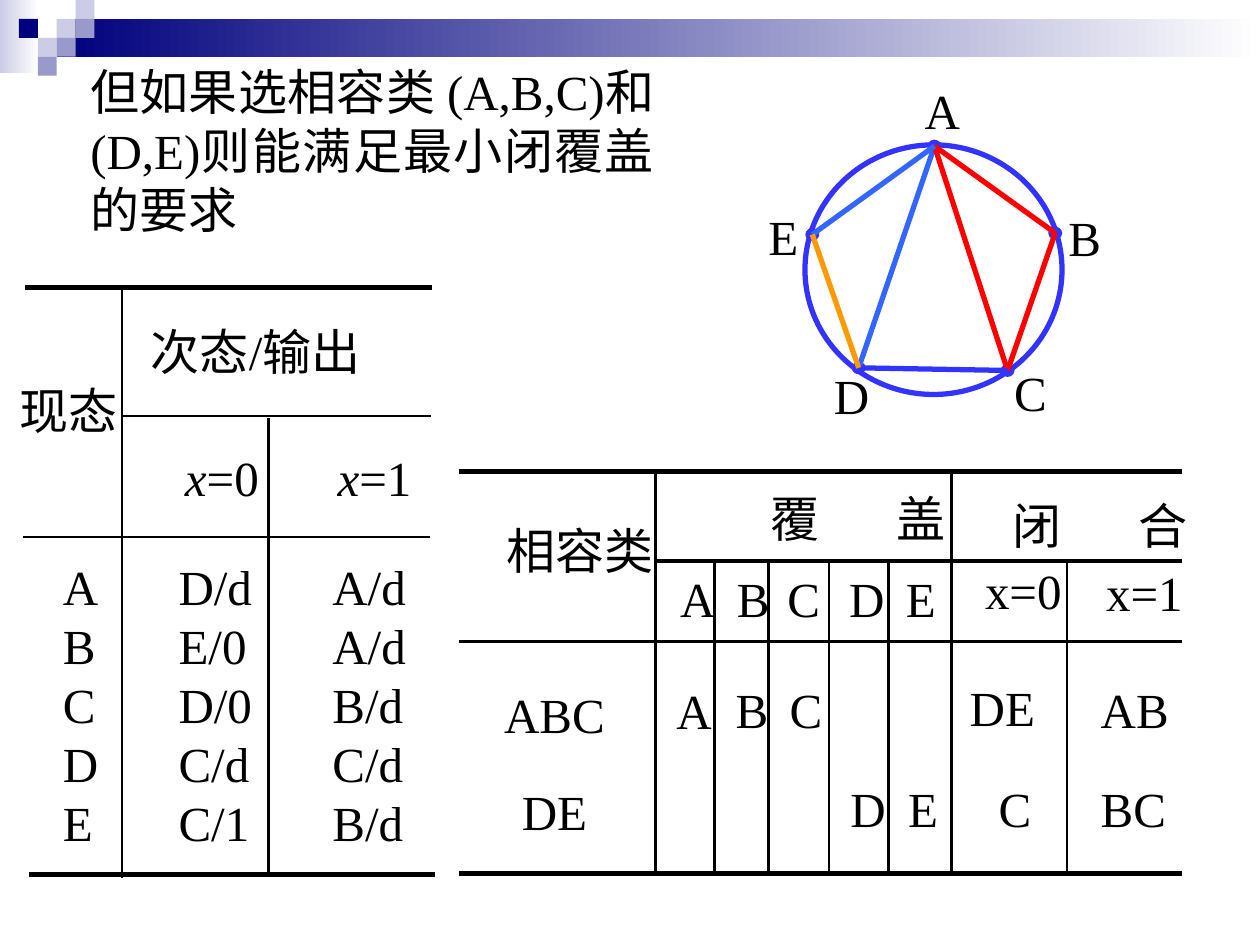
from pptx import Presentation
from pptx.dml.color import RGBColor
from pptx.enum.shapes import MSO_CONNECTOR, MSO_SHAPE
from pptx.enum.text import MSO_AUTO_SIZE, PP_ALIGN
from pptx.oxml.ns import qn
from pptx.util import Pt
from lxml import etree

RECT, OVAL = MSO_SHAPE.RECTANGLE, MSO_SHAPE.OVAL
STRAIGHT = MSO_CONNECTOR.STRAIGHT
LEFT, MID, FULL = PP_ALIGN.LEFT, PP_ALIGN.CENTER, PP_ALIGN.JUSTIFY
GROW = MSO_AUTO_SIZE.SHAPE_TO_FIT_TEXT

COLORS = {
    "ink": "000000", "white": "FFFFFF", "navy": "00007D",
    "pale": "CCCCE6", "mauve": "9999CC", "ring": "3333FF",
    "blue": "3366FF", "red": "FF0000", "gold": "FF9900",
}
FONT = {"name": "Times New Roman", "size": Pt(28)}
MARGINS = {"margin_left": Pt(7.2), "margin_right": Pt(7.2),
           "margin_top": Pt(3.6), "margin_bottom": Pt(3.6)}
HIGH = 41  # height of a one-line text box
UNIT = 10.8  # side of a corner square


def color(name):
    return RGBColor.from_string(COLORS[name])


def apply(target, values):
    for key, value in values.items():
        setattr(target, key, value)


def add_tab(para, pos):
    tabs = etree.SubElement(para._p.get_or_add_pPr(), qn("a:tabLst"))
    etree.SubElement(tabs, qn("a:tab"), pos=str(Pt(pos)), algn="l")


def add_text(slide, x, y, w, lines, h=HIGH, wrap=False, align=LEFT, **form):
    """Each line is a string or a list of (text, italic) runs."""
    frame = slide.shapes.add_textbox(Pt(x), Pt(y), Pt(w), Pt(h)).text_frame
    apply(frame, {**MARGINS, "word_wrap": wrap, "auto_size": GROW})
    for i, line in enumerate(lines):
        para = frame.paragraphs[0] if i == 0 else frame.add_paragraph()
        apply(para, {"alignment": align, **form})
        if "\t" in line:
            add_tab(para, 72)
        for text, slant in [(line, False)] if isinstance(line, str) else line:
            run = para.add_run()
            run.text = text
            apply(run.font, {**FONT, "italic": slant})
            run.font.color.rgb = color("ink")
    return frame


def add_line(slide, start, end, width, hue="ink"):
    line = slide.shapes.add_connector(STRAIGHT, *map(Pt, start + end))
    line.line.width = Pt(width)
    line.line.color.rgb = color(hue)
    etree.SubElement(line._element.spPr, qn("a:effectLst"))


def add_shape(slide, kind, x, y, w, h, fill=None, edge=None, width=1.5):
    """A tuple of two colours as fill gives a fade from right to left."""
    shape = slide.shapes.add_shape(kind, Pt(x), Pt(y), Pt(w), Pt(h))
    shape.shadow.inherit = False
    if fill is None:
        shape.fill.background()
    elif isinstance(fill, tuple):
        shape.fill.gradient()
        shape.fill.gradient_angle = 180
        for stop, name in zip(shape.fill.gradient_stops, fill):
            stop.color.rgb = color(name)
    else:
        shape.fill.solid()
        shape.fill.fore_color.rgb = color(fill)
    if edge:
        shape.line.color.rgb = color(edge)
        shape.line.width = Pt(width)
    else:
        shape.line.fill.background()


def add_banner(slide):
    add_shape(slide, RECT, 0, 0, 22.3, 41.8, ("white", "pale"))
    add_shape(slide, RECT, 32.4, UNIT, 687.6, 21.6, ("white", "navy"))
    squares = [(3, 1, "pale"), (4, 0, "pale"), (4, 1, "mauve"),
               (2, 2, "pale"), (1, 1, "navy"), (3, 2, "mauve"),
               (2, 3, "mauve")]
    for col, row, hue in squares:
        add_shape(slide, RECT, col * UNIT, row * UNIT, UNIT, UNIT, hue)


def add_graph(slide):
    # Node: centre, then corner and width of its label
    nodes = {
        "A": ((534, 83.5), (521.3, 42.5, 35)),
        "B": ((603, 133.2), (603.4, 115.2, 34)),
        "C": ((575.8, 211.7), (572.4, 203.8, 34)),
        "D": ((490.7, 210.2), (469.4, 205.2, 35)),
        "E": ((464.2, 134), (432, 114.5, 32)),
    }
    for name, ((x, y), label) in nodes.items():
        add_text(slide, *label, [name])
        add_shape(slide, OVAL, x - 3.2, y - 2.9, 6.4, 5.8, "ring", "ring")
    add_shape(slide, OVAL, 460, 82.8, 146.9, 142.6, edge="ring", width=3)
    edges = {"AD": "blue", "AC": "red", "AB": "red", "BC": "red",
             "DC": "ring", "AE": "blue", "ED": "gold"}
    for (start, end), hue in edges.items():
        add_line(slide, nodes[start][0], nodes[end][0], 3, hue)


def add_states(slide):
    # Rules: left, right, y, width
    for x1, x2, y, width in [(14.4, 247, 164.2, 3), (16.6, 248.4, 499.7, 3),
                             (69.8, 246.2, 237.6, 1), (13, 245.5, 306.7, 1)]:
        add_line(slide, (x1, y), (x2, y), width)
    add_line(slide, (69.8, 164.2), (69.8, 501.8), 1.5)
    add_line(slide, (153.4, 239), (153.4, 498.2), 1.5)
    # Heads
    add_text(slide, 4.3, 213.8, 73, ["现态"])
    add_text(slide, 79.2, 180, 150, ["次态/输出"])
    for x, value in [(98.6, "=0"), (185.8, "=1")]:
        add_text(slide, x, 252, 60, [[("x", True), (value, False)]])
    # Columns
    for x, w, cells in [(28.8, 35, "A B C D E"),
                        (95, 58, "D/d E/0 D/0 C/d C/1"),
                        (182.9, 58, "A/d A/d B/d C/d B/d")]:
        add_text(slide, x, 314.6, w, cells.split(), h=175.7)


def add_cover(slide):
    # Rules
    left, mid, right = 262.1, 374.4, 675.4
    for x, y, width in [(left, 269.3, 3), (left, 499, 3),
                        (mid, 320.4, 2.25), (left, 366.5, 1.5)]:
        add_line(slide, (x, y), (right, y), width)
    for x, top in [(mid, 270.7), (408.2, 320.4), (439.2, 321.8),
                   (473.8, 321.8), (507.6, 320.4), (543.6, 269.3),
                   (609.8, 321.8)]:
        add_line(slide, (x, top), (x, 500), 1.5)
    # Heads
    for x, y, w, text in [(282.2, 293.8, 101, "相容类"),
                          (433.4, 275.8, 118, "覆\t盖"),
                          (571.7, 279.4, 118, "闭\t合"),
                          (555.8, 316.8, 60, "x=0"),
                          (625, 318.2, 60, "x=1")]:
        add_text(slide, x, y, w, [text])
    for x, name in zip((381.6, 414, 442.8, 478.1, 510.5), "ABCDE"):
        add_text(slide, x, 321.1, 23, [name], wrap=True)
    # Classes
    frame = add_text(slide, 280.8, 387.4, 72, ["ABC", "DE"], h=95, align=MID)
    apply(frame.paragraphs[1], {"line_spacing": 0.6, "space_before": Pt(34)})
    # Covered states
    add_text(slide, 379.4, 385.2, 35, ["A"])
    add_text(slide, 413.3, 391, 23, ["B"], h=34.6, wrap=True,
             line_spacing=0.8)
    for x, y, name in [(444.2, 384.5, "C"), (478.8, 441.4, "D"),
                       (511.9, 441.4, "E")]:
        add_text(slide, x, y, 23, [name], wrap=True)
    # Closure
    for x, y, w, text in [(540, 383.8, 65.5, "DE"), (614.9, 384.5, 67, "AB"),
                          (555.1, 441.4, 49.7, "C"),
                          (609.8, 441.4, 75.6, "BC")]:
        add_text(slide, x, y, w, [text], wrap=True, align=MID)


def main():
    deck = Presentation()
    deck.slide_width, deck.slide_height = Pt(720), Pt(540)
    slide = deck.slides.add_slide(deck.slide_layouts[6])
    add_banner(slide)
    add_text(slide, 44.6, 31.7, 336.2,
             ["但如果选相容类 (A,B,C)和 (D,E)则能满足最小闭覆盖的要求"],
             h=108, wrap=True, align=FULL)
    add_cover(slide)
    add_graph(slide)
    add_states(slide)
    deck.save("out.pptx")


if __name__ == "__main__":
    main()
